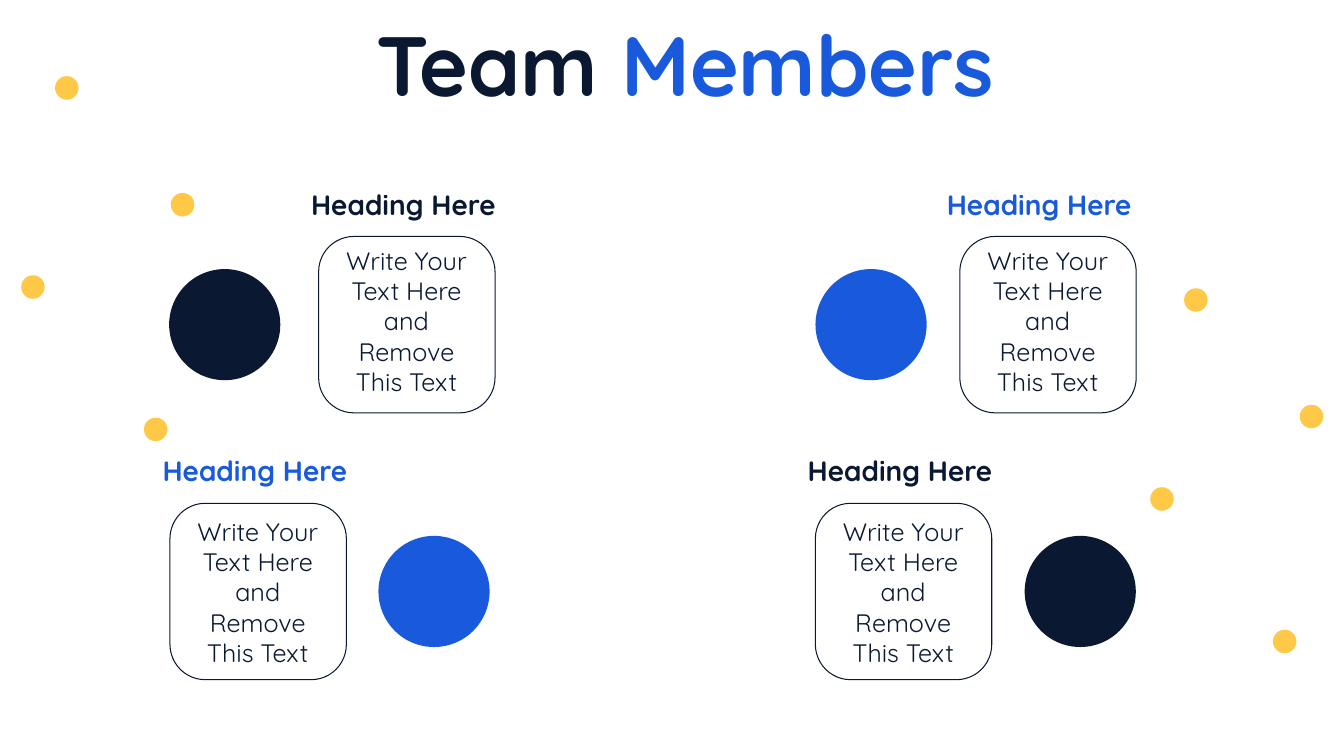
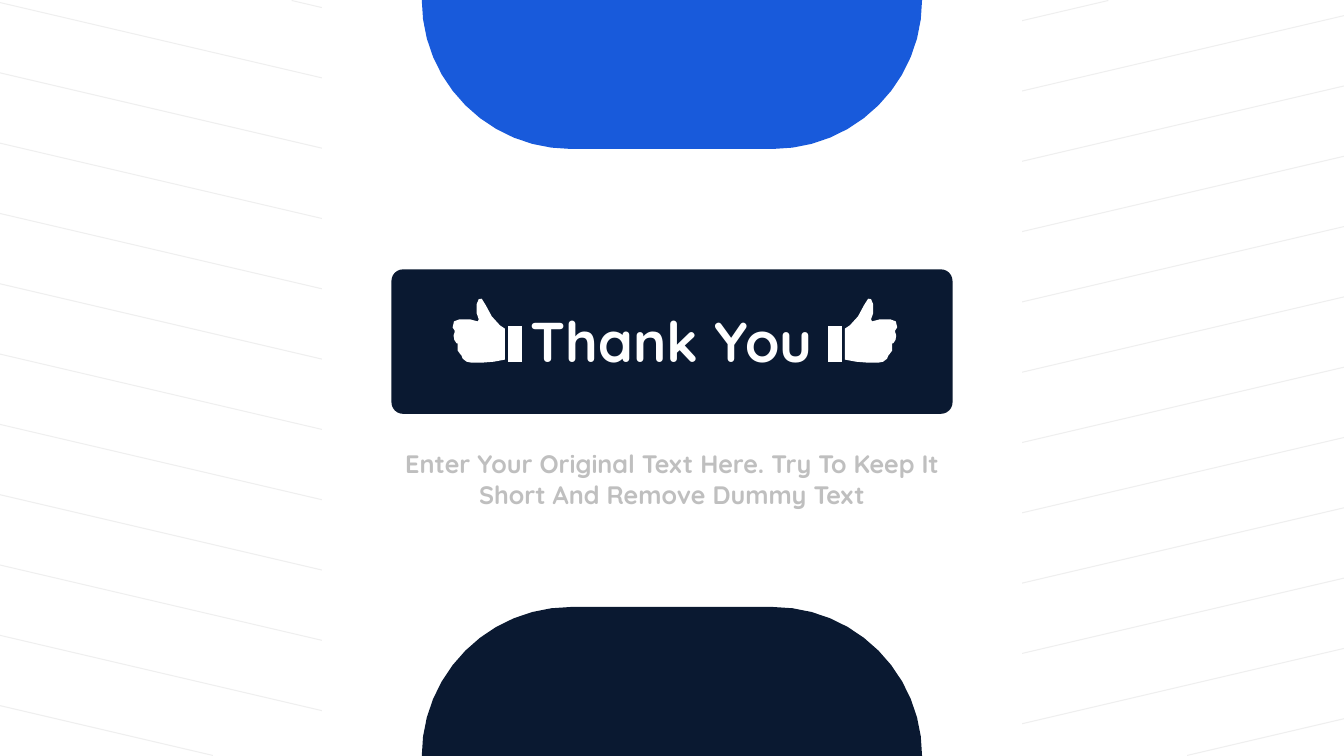
from dataclasses import dataclass
from math import cos, pi, sin

from pptx import Presentation
from pptx.dml.color import RGBColor
from pptx.enum.shapes import MSO_SHAPE as Preset
from pptx.enum.text import MSO_AUTO_SIZE as AutoSize, PP_ALIGN as Align
from pptx.shapes.autoshape import Shape
from pptx.slide import Slide
from pptx.util import Pt


@dataclass(frozen=True)
class Theme:
    font: str = "Quicksand"
    navy: str = "0A1931"
    blue: str = "185ADB"
    yellow: str = "FFC947"
    white: str = "FFFFFF"
    gray: str = "BFBFBF"
    stripe: str = "EFEFEF"
    title: int = 60
    closing: int = 40
    heading: int = 20
    body: int = 18


@dataclass(frozen=True)
class Span:
    text: str
    size: int
    color: str
    bold: bool = True


@dataclass(frozen=True)
class Area:
    left: float
    top: float
    width: float
    height: float


@dataclass(frozen=True)
class Row:
    heading_top: float
    card_top: float
    text_top: float
    disc_middle: float


@dataclass(frozen=True)
class Member:
    row: Row
    color: str
    heading_left: float
    card_left: float
    disc_center: float


THEME = Theme()
WIDTH, HEIGHT = 960, 540
CENTER = WIDTH / 2
Point = tuple[float, float]

UPPER = Row(130.3, 168.9, 171.6, 231.9)
LOWER = Row(320.4, 359.5, 365.2, 422.5)
MEMBERS = (
    Member(UPPER, THEME.navy, 215.1, 227.6, 160.5),
    Member(LOWER, THEME.blue, 109, 121.4, 310),
    Member(UPPER, THEME.blue, 669.2, 685.6, 622.2),
    Member(LOWER, THEME.navy, 569.8, 582.4, 771.6),
)
CARD_SIDE, CARD_TEXT_WIDTH = 126, 114.6
DISC_SIZE, DOT_SIZE = 79.4, 16.8
DOT_CENTERS: tuple[Point, ...] = (
    (130.4, 146.2), (23.5, 205), (47.7, 62.8), (111.2, 306.7),
    (936.8, 297.5), (830, 356.4), (854.2, 214.3), (917.6, 458.2),
)

THUMB: tuple[Point, ...] = (
    (0, 43.9), (7.9, 45.4), (16.6, 46.1), (23.8, 46.1), (27.4, 45.4),
    (30.2, 43.2), (31, 41), (31.7, 40.3), (33.8, 37.4), (33.8, 33.8),
    (33.8, 32.4), (34.6, 32.2), (36.2, 29.8), (36.7, 26.6),
    (36, 24.5), (36, 23), (37.4, 20.9), (36.4, 16.6),
    (32.4, 15.1), (25.2, 15.1), (19.4, 16.6), (18.7, 15.1),
    (20.2, 10.8), (20.2, 4.3), (18.7, 0.7), (16.6, 0.4),
    (13.7, 5), (9.4, 13), (3.6, 19.4), (0, 21.8),
)
CUFF: tuple[Point, ...] = ((-12.3, 20.2), (-2.4, 20.2), (-2.4, 45.6), (-12.3, 45.6))


def rgb(color: str) -> RGBColor:
    return RGBColor.from_string(color)


def paint(shape: Shape, fill: str | None, line: str | None = None) -> None:
    shape.shadow.inherit = False
    if fill:
        shape.fill.solid()
        shape.fill.fore_color.rgb = rgb(fill)
    else:
        shape.fill.background()
    if line:
        shape.line.color.rgb = rgb(line)
        shape.line.width = Pt(0.75)
    else:
        shape.line.fill.background()


def add_preset(page: Slide, kind: Preset, area: Area, fill: str | None,
               line: str | None = None, corner: float | None = None) -> None:
    shape = page.shapes.add_shape(
        kind, Pt(area.left), Pt(area.top), Pt(area.width), Pt(area.height))
    if corner is not None:
        shape.adjustments[0] = corner
    paint(shape, fill, line)


def add_circle(page: Slide, x: float, y: float, size: float, fill: str) -> None:
    add_preset(page, Preset.OVAL, Area(x - size / 2, y - size / 2, size, size), fill)


def add_outlines(page: Slide, outlines: list[list[Point]], fill: str) -> None:
    contours = [[(Pt(x), Pt(y)) for x, y in outline] for outline in outlines]
    builder = page.shapes.build_freeform(*contours[0][0])
    for index, contour in enumerate(contours):
        if index:
            builder.move_to(*contour[0])
        builder.add_line_segments(contour[1:], close=True)
    paint(builder.convert_to_shape(), fill)


def add_text(page: Slide, area: Area, paragraphs: list[list[Span]],
             align: Align = Align.CENTER, wrap: bool = True) -> None:
    box = page.shapes.add_textbox(
        Pt(area.left), Pt(area.top), Pt(area.width), Pt(area.height))
    frame = box.text_frame
    frame.word_wrap = wrap
    frame.auto_size = AutoSize.SHAPE_TO_FIT_TEXT
    for index, spans in enumerate(paragraphs):
        para = frame.add_paragraph() if index else frame.paragraphs[0]
        para.alignment = align
        for span in spans:
            run = para.add_run()
            run.text = span.text
            run.font.name = THEME.font
            run.font.size = Pt(span.size)
            run.font.bold = span.bold
            run.font.color.rgb = rgb(span.color)


def add_member(page: Slide, member: Member) -> None:
    row = member.row
    add_circle(page, member.disc_center, row.disc_middle, DISC_SIZE, member.color)
    add_text(page, Area(member.heading_left, row.heading_top, 150.5, 31.5),
             [[Span("Heading Here", THEME.heading, member.color)]],
             Align.LEFT, wrap=False)
    add_preset(page, Preset.ROUNDED_RECTANGLE,
               Area(member.card_left, row.card_top, CARD_SIDE, CARD_SIDE),
               None, THEME.navy, 0.2)
    text_left = member.card_left + (CARD_SIDE - CARD_TEXT_WIDTH) / 2 - 0.3
    add_text(page, Area(text_left, row.text_top, CARD_TEXT_WIDTH, 116.6),
             [[Span("Write Your Text Here and Remove This Text",
                    THEME.body, THEME.navy, False)]])


def add_stripes(page: Slide) -> None:
    slope, gap, first, thickness = 0.234, 50.22, 35.5, 0.75
    stripes = []
    for inner, outer in ((360, 0), (640, WIDTH)):
        side = 1 if outer > inner else -1
        for index in range(12):
            low = first + index * gap
            high = max(0, low - slope * abs(outer - inner))
            bottom = min(HEIGHT - thickness, low)
            near = inner + side * (low - bottom) / slope
            far = inner + side * (low - high) / slope
            stripes.append([(near, bottom), (near, bottom + thickness),
                            (far, high + thickness), (far, high)])
    add_outlines(page, stripes, THEME.stripe)


def add_dome(page: Slide, edge: float, direction: int, fill: str) -> None:
    half, radius, steps = 178.7, 106.4, 12
    arc = [(half - radius + radius * cos(angle), radius * sin(angle))
           for angle in (pi / 2 * step / steps for step in range(steps + 1))]
    right = [(CENTER + x, edge + direction * y) for x, y in arc]
    left = [(CENTER - x, edge + direction * y) for x, y in reversed(arc)]
    add_outlines(page, [right + left], fill)


def add_thumb(page: Slide, wrist: float, direction: int) -> None:
    for outline in (THUMB, CUFF):
        add_outlines(page, [[(wrist + direction * x, 213 + y) for x, y in outline]],
                     THEME.white)


def build_team(page: Slide) -> None:
    add_text(page, Area(254.9, 5.3, 469.4, 79.9),
             [[Span("Team", THEME.title, THEME.navy),
               Span(" Members", THEME.title, THEME.blue)]], wrap=False)
    for x, y in DOT_CENTERS:
        add_circle(page, x, y, DOT_SIZE, THEME.yellow)
    for member in MEMBERS:
        add_member(page, member)


def build_closing(page: Slide) -> None:
    add_stripes(page)
    add_preset(page, Preset.RECTANGLE, Area(230, 0, 500, HEIGHT), THEME.white)
    add_dome(page, HEIGHT, -1, THEME.navy)
    add_dome(page, 0, 1, THEME.blue)
    add_preset(page, Preset.ROUNDED_RECTANGLE, Area(279.6, 192.4, 400.8, 103.2),
               THEME.navy, corner=0.08)
    add_thumb(page, 603.5, 1)
    add_thumb(page, 360.7, -1)
    add_text(page, Area(369.6, 215.5, 220.3, 55.4),
             [[Span("Thank You", THEME.closing, THEME.white)]], wrap=False)
    lines = ("Enter Your Original Text Here. Try To Keep It",
             "Short And Remove Dummy Text")
    add_text(page, Area(262.6, 317, 434.9, 51.1),
             [[Span(line, THEME.body, THEME.gray)] for line in lines])


def main() -> None:
    deck = Presentation()
    deck.slide_width, deck.slide_height = Pt(WIDTH), Pt(HEIGHT)
    for build in (build_team, build_closing):
        build(deck.slides.add_slide(deck.slide_layouts[6]))
    deck.save("out.pptx")


if __name__ == "__main__":
    main()
